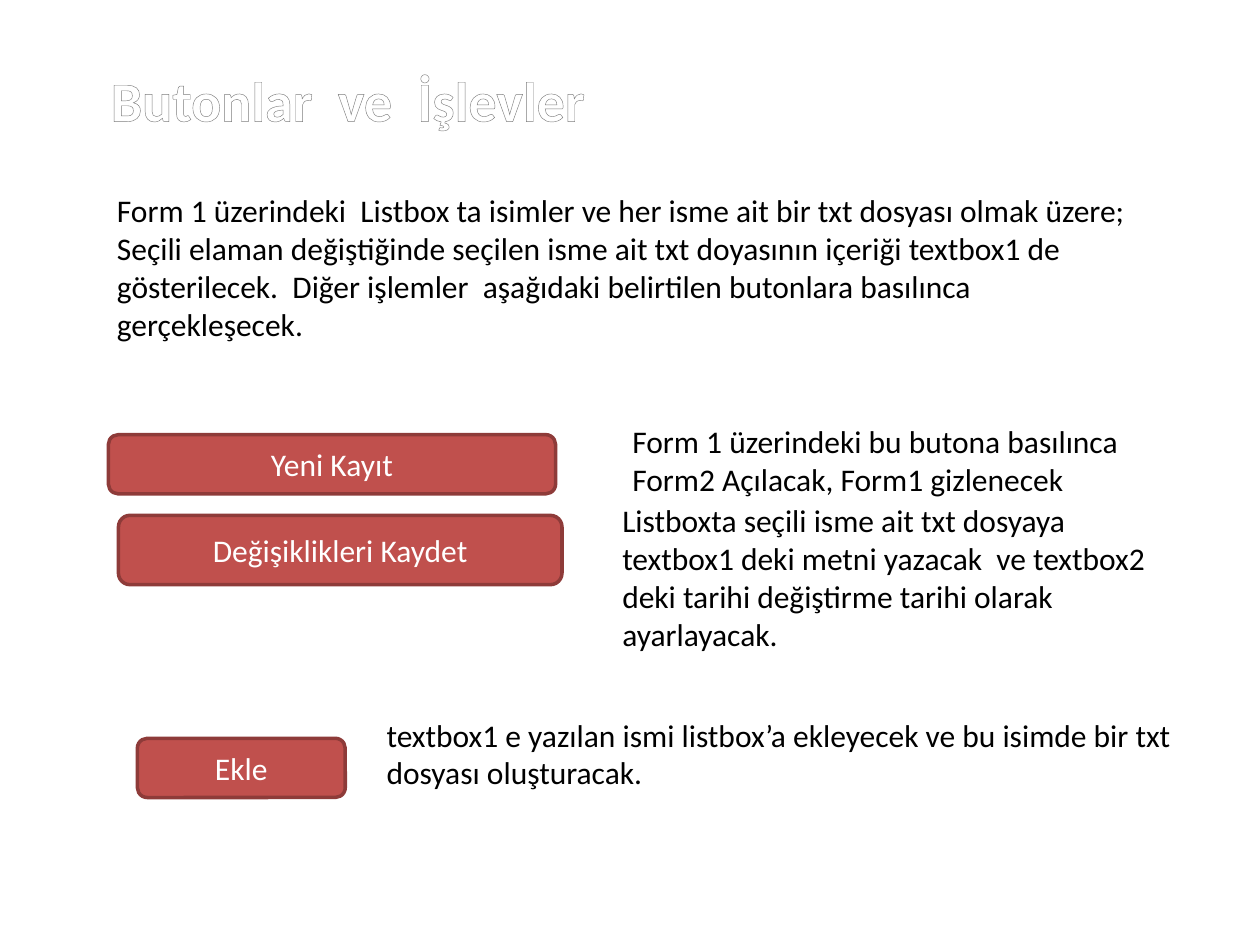
import pptx
import pptx.util
import pptx.dml.color
import pptx.enum.shapes
import pptx.enum.text
import pptx.oxml
import pptx.oxml.ns

Inches = pptx.util.Inches
ALIGN = pptx.enum.text.PP_ALIGN
ANCHOR = pptx.enum.text.MSO_ANCHOR


def rgb(value):
    return pptx.dml.color.RGBColor.from_string(value)


def set_text(tf, text, size=18, color="000000", bold=False, font="Calibri",
             align=ALIGN.LEFT, anchor=ANCHOR.TOP, wrap=True, grow=True):
    tf.word_wrap = wrap
    tf.vertical_anchor = anchor
    if grow:
        tf.auto_size = pptx.enum.text.MSO_AUTO_SIZE.SHAPE_TO_FIT_TEXT
    p = tf.paragraphs[0]
    p.alignment = align
    r = p.add_run()
    r.text = text
    r.font.name = font
    r.font.size = pptx.util.Pt(size)
    r.font.bold = bold
    r.font.color.rgb = rgb(color)
    return r


class Deck:
    FILL = "C0504D"
    LINE = "8E3B39"
    WHITE = "FFFFFF"
    TITLE_LINE = "7D7D7D"
    TITLE_STOPS = ((0, "FFFFFF"), (9, "FFFFFF"), (50, "7F7F7F"), (79, "FFFFFF"), (100, "FFFFFF"))

    def __init__(self, width, height):
        self.prs = pptx.Presentation()
        self.prs.slide_width = Inches(width)
        self.prs.slide_height = Inches(height)
        self.s = self.prs.slides.add_slide(self.prs.slide_layouts[5])

    def title(self, text, x, y, w, h):
        sp = self.s.shapes.title
        sp.left, sp.top, sp.width, sp.height = map(Inches, (x, y, w, h))
        r = set_text(sp.text_frame, text, size=32, color=self.WHITE, bold=True, wrap=False)
        ns = pptx.oxml.ns.nsdecls("a")
        stops = "".join(f'<a:gs pos="{pos * 1000}"><a:srgbClr val="{c}"/></a:gs>'
                        for pos, c in self.TITLE_STOPS)
        line = (f'<a:ln {ns} w="10541"><a:solidFill><a:srgbClr val="{self.TITLE_LINE}"/>'
                '</a:solidFill></a:ln>')
        fill = f'<a:gradFill {ns}><a:gsLst>{stops}</a:gsLst><a:lin ang="5400000"/></a:gradFill>'
        rPr = r.font._element
        rPr.replace(rPr.find(pptx.oxml.ns.qn("a:solidFill")), pptx.oxml.parse_xml(fill))
        rPr.insert(0, pptx.oxml.parse_xml(line))

    def button(self, text, x, y, w, h):
        sp = self.s.shapes.add_shape(pptx.enum.shapes.MSO_SHAPE.ROUNDED_RECTANGLE,
                                     *map(Inches, (x, y, w, h)))
        sp.shadow.inherit = False
        sp.fill.solid()
        sp.fill.fore_color.rgb = rgb(self.FILL)
        sp.line.color.rgb = rgb(self.LINE)
        sp.line.width = pptx.util.Pt(2)
        set_text(sp.text_frame, text, color=self.WHITE, align=ALIGN.CENTER,
                 anchor=ANCHOR.MIDDLE, grow=False)

    def text(self, text, x, y, w, h):
        sp = self.s.shapes.add_textbox(*map(Inches, (x, y, w, h)))
        set_text(sp.text_frame, text)


def main():
    deck = Deck(10, 7.5)
    deck.title("Butonlar  ve  İşlevler", 0.78, 0.47, 4.11, 0.64)
    deck.text("Form 1 üzerindeki  Listbox ta isimler ve her isme ait bir txt dosyası olmak üzere; "
              "Seçili elaman değiştiğinde seçilen isme ait txt doyasının içeriği textbox1 de "
              "gösterilecek.  Diğer işlemler  aşağıdaki belirtilen butonlara basılınca "
              "gerçekleşecek.", 0.83, 1.47, 8.43, 1.31)
    rows = (
        ("Yeni Kayıt", (0.86, 3.45, 3.55, 0.47),
         "Form 1 üzerindeki bu butona basılınca Form2 Açılacak, Form1 gizlenecek",
         (4.92, 3.3, 4.38, 0.71)),
        ("Değişiklikleri Kaydet", (0.94, 4.09, 3.52, 0.55),
         "Listboxta seçili isme ait txt dosyaya textbox1 deki metni yazacak  ve textbox2 "
         "deki tarihi değiştirme tarihi olarak ayarlayacak.",
         (4.84, 3.93, 4.38, 1.31)),
        ("Ekle", (1.09, 5.86, 1.65, 0.47),
         "textbox1 e yazılan ismi listbox’a ekleyecek ve bu isimde bir txt dosyası oluşturacak.",
         (2.97, 5.63, 6.56, 0.71)),
    )
    for label, button_box, description, text_box in rows:
        deck.button(label, *button_box)
        deck.text(description, *text_box)
    deck.prs.save("out.pptx")


if __name__ == "__main__":
    main()
